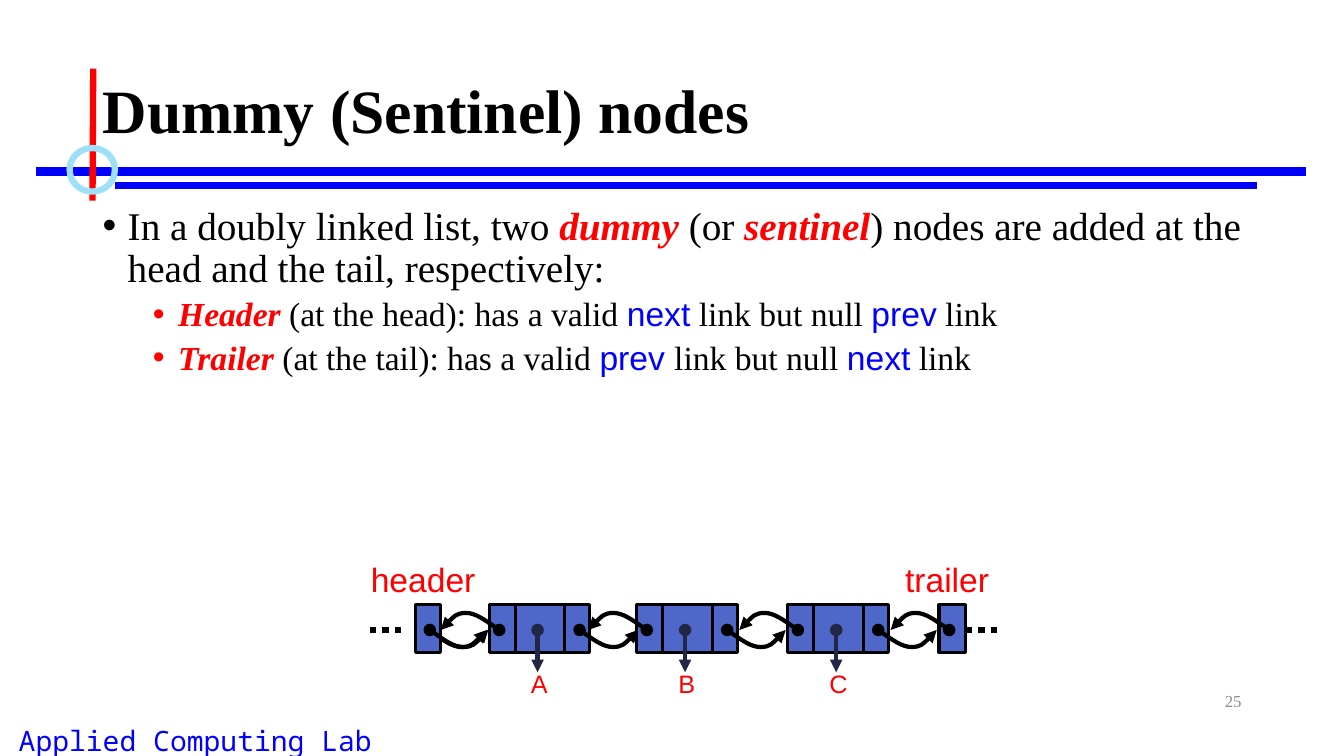
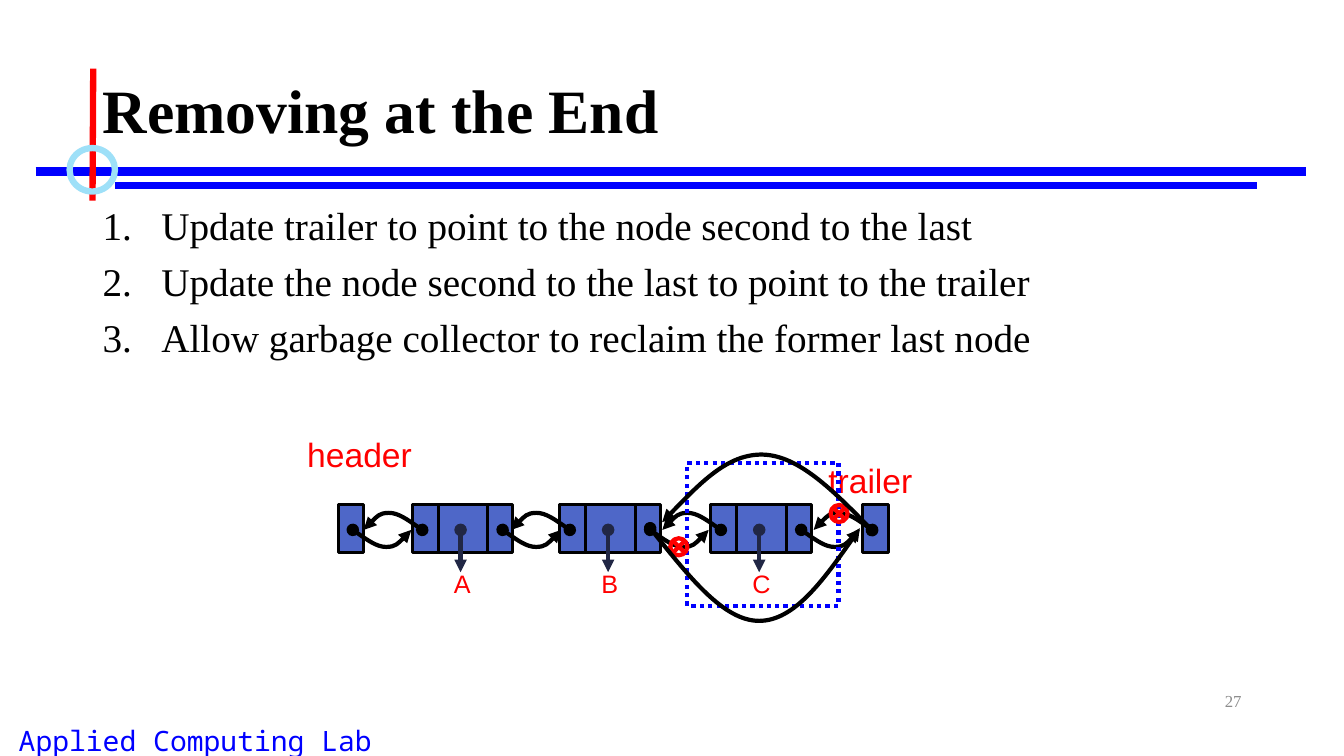
from lxml import etree
from pptx import Presentation
from pptx.dml.color import RGBColor
from pptx.enum.dml import MSO_LINE
from pptx.enum.shapes import MSO_CONNECTOR, MSO_SHAPE
from pptx.enum.text import MSO_ANCHOR, MSO_AUTO_SIZE, PP_ALIGN
from pptx.oxml.ns import qn
from pptx.util import Pt

BLACK, RED, BLUE, SKY = "000000", "FF0000", "0000FF", "9EE0F8"
NODE, NAVY, GRAY = "4E67C8", "212745", "8C8C8C"
SERIF, SANS, MONO = "Times New Roman", "Arial", "Noto Sans Mono"

# Run styles for body text: font, colour, emphasised
PLAIN, KEY, CODE = (SERIF, BLACK, False), (SERIF, RED, True), (SANS, BLUE, False)

# Chain measures, relative to the left edge of the header box and the top
NODE_LEFTS = {"A": 52.8, "B": 158.2, "C": 266.1}
TRAILER_LEFT = 374.2
BOX_HEIGHT, MIDDLE = 34.3, 18
LINK_WIDTH, LINK_HEIGHT = 41.8, 12.2
LINK = [(0, 0), (8.5, 5.9), (17.1, LINK_HEIGHT), (23.8, LINK_HEIGHT),
        (30.8, LINK_HEIGHT), (36.5, 5.9), (LINK_WIDTH, 0)]


def rgb(value):
    return RGBColor.from_string(value)


class Slides:
    def __init__(self):
        self.deck = Presentation()
        self.deck.slide_width, self.deck.slide_height = Pt(960), Pt(540)
        self.shapes = None

    # Basic elements
    def stroke(self, item, color, width, dotted=False, arrow=False):
        item.line.color.rgb = rgb(color)
        item.line.width = Pt(width)
        if dotted:
            item.line.dash_style = MSO_LINE.ROUND_DOT
        if arrow:
            outline = item.element.spPr.find(qn("a:ln"))
            etree.SubElement(outline, qn("a:headEnd"), type="oval")
            etree.SubElement(outline, qn("a:tailEnd"), type="triangle")

    def line(self, x1, y1, x2, y2, color, width, **style):
        line = self.shapes.add_connector(MSO_CONNECTOR.STRAIGHT,
                                         Pt(x1), Pt(y1), Pt(x2), Pt(y2))
        self.stroke(line, color, width, **style)
        etree.SubElement(line.element.spPr, qn("a:effectLst"))

    def shape(self, kind, left, top, width, height, color, weight, fill=None, **style):
        shape = self.shapes.add_shape(kind, Pt(left), Pt(top), Pt(width), Pt(height))
        shape.shadow.inherit = False
        if fill:
            shape.fill.solid()
            shape.fill.fore_color.rgb = rgb(fill)
        else:
            shape.fill.background()
        self.stroke(shape, color, weight, **style)

    def curve(self, points, rotation=0):
        """Draw cubic curves: every third point is a knot, the others are handles."""
        points = [(Pt(x), Pt(y)) for x, y in points]
        knots = points[::3]
        builder = self.shapes.build_freeform(*knots[0], scale=1.0)
        builder.add_line_segments(knots[1:], close=False)
        curve = builder.convert_to_shape()
        # Turn each straight segment into a cubic one
        left, top = (min(values) for values in zip(*knots))
        for index, segment in enumerate(list(curve.element.iter(qn("a:lnTo")))):
            cubic = etree.Element(qn("a:cubicBezTo"))
            for x, y in points[3 * index + 1:3 * index + 4]:
                etree.SubElement(cubic, qn("a:pt"), x=str(x - left), y=str(y - top))
            segment.getparent().replace(segment, cubic)
        curve.rotation = rotation
        curve.shadow.inherit = False
        curve.fill.background()
        self.stroke(curve, BLACK, 3, arrow=True)

    def font(self, span, size, name, color, bold=False, italic=False):
        font = span.font
        font.size, font.name, font.bold, font.italic = Pt(size), name, bold, italic
        font.color.rgb = rgb(color)

    def frame(self, left, top, width, height, wrap=True, grow=False, anchor=MSO_ANCHOR.TOP):
        box = self.shapes.add_textbox(Pt(left), Pt(top), Pt(width), Pt(height))
        frame = box.text_frame
        frame.word_wrap = wrap
        frame.auto_size = MSO_AUTO_SIZE.SHAPE_TO_FIT_TEXT if grow else MSO_AUTO_SIZE.NONE
        frame.vertical_anchor = anchor
        return frame

    def text(self, text, at, size, name, color, align=PP_ALIGN.LEFT, bold=False, **layout):
        frame = self.frame(*at, **layout)
        frame.text = text
        para = frame.paragraphs[0]
        para.alignment = align
        para.line_spacing = 0.9 if bold else 1.0
        self.font(para.runs[0], size, name, color, bold)

    def label(self, text, left, top, width, height, size):
        self.text(text, (left, top, width, height), size, SANS, RED, wrap=False, grow=True)

    # Shared page parts
    def page(self, title, number):
        self.shapes = self.deck.slides.add_slide(self.deck.slide_layouts[6]).shapes
        self.text("Applied Computing Lab", (-41.8, 513.4, 362.9, 31), 20, MONO, BLUE,
                  align=PP_ALIGN.CENTER, grow=True)
        self.line(25.4, 122.4, 932.6, 122.4, BLUE, 6)
        self.line(82, 132.5, 898, 132.5, BLUE, 4.5)
        self.line(66.6, 49, 66.1, 143.3, RED, 4.5)
        self.shape(MSO_SHAPE.OVAL, 49.7, 105.8, 32.4, 31, SKY, 4.5)
        self.text(title, (66.2, 28.8, 828, 104.4), 44, SERIF, BLACK,
                  bold=True, anchor=MSO_ANCHOR.MIDDLE)
        self.text(str(number), (678, 486, 216, 28.8), 12, SERIF, GRAY,
                  align=PP_ALIGN.RIGHT, anchor=MSO_ANCHOR.MIDDLE)

    def body(self, items, numbered=False):
        """Each item is a level and a list of (text, style) spans."""
        frame = self.frame(66.2, 143.8, 828, 342.7)
        for index, (level, spans) in enumerate(items):
            para = frame.add_paragraph() if index else frame.paragraphs[0]
            para.level = level
            para.line_spacing = 0.9
            para.space_before = Pt(5 if level else 10)
            for text, (name, color, strong) in spans:
                span = para.add_run()
                span.text = text
                self.font(span, 24 if level else 28, name, color, strong, strong)
            hanging = 42 if numbered else 18
            props = para._p.get_or_add_pPr()
            props.set("marL", str(Pt(hanging + 36 * level)))
            props.set("indent", str(-Pt(hanging)))
            if numbered:
                etree.SubElement(props, qn("a:buFont"), typeface="+mj-lt")
                etree.SubElement(props, qn("a:buAutoNum"), type="arabicPeriod")
            else:
                etree.SubElement(props, qn("a:buFont"), typeface=SANS)
                etree.SubElement(props, qn("a:buChar"), char="•")

    # Linked list drawing
    def cell(self, left, top, width):
        self.shape(MSO_SHAPE.RECTANGLE, left, top, width, BOX_HEIGHT, BLACK, 2.25, NODE)

    def next_link(self, x, y, rotation=0):
        self.curve([(x + dx, y + dy) for dx, dy in LINK], rotation)

    def prev_link(self, x, y):
        """The next link turned half round, starting at its right end."""
        self.next_link(x - LINK_WIDTH, y - LINK_HEIGHT, rotation=180)

    def node(self, name, left, top):
        self.cell(left + 17.3, top, 36.7)
        self.cell(left + 54, top, 18)
        self.line(left + 34.6, top + MIDDLE, left + 34.6, top + 48.2, NAVY, 3, arrow=True)
        self.cell(left, top, 18.7)
        self.label(name, left + 22.7, top + 41.8, 26.6, 28.8, 18)
        self.next_link(left + 64.6, top + MIDDLE)
        self.prev_link(left + 7.2, top + MIDDLE)

    def chain(self, left, top, header_at, trailer_at):
        for name, offset in NODE_LEFTS.items():
            self.node(name, left + offset, top)
        self.cell(left, top, 18)
        self.next_link(left + 10.4, top + MIDDLE)
        self.label("header", *header_at, 93.6, 36, 24)
        self.cell(left + TRAILER_LEFT, top, 18.7)
        self.prev_link(left + TRAILER_LEFT + 7.2, top + MIDDLE)
        self.label("trailer", *trailer_at, 75.6, 36, 24)


def dummy_nodes(slides):
    slides.page("Dummy (Sentinel) nodes", 25)
    slides.body([
        (0, [("In a doubly linked list, two ", PLAIN), ("dummy ", KEY), ("(or ", PLAIN),
             ("sentinel", KEY),
             (") nodes are added at the head and the tail, respectively:", PLAIN)]),
        (1, [("Header", KEY), (" (at the head): has a valid ", PLAIN), ("next", CODE),
             (" link but null ", PLAIN), ("prev", CODE), (" link", PLAIN)]),
        (1, [("Trailer", KEY), (" (at the tail): has a valid ", PLAIN), ("prev ", CODE),
             ("link but null ", PLAIN), ("next", CODE), (" link", PLAIN)]),
    ])
    slides.next_link(306, 450)
    for dots_left in (264.2, 689.8):
        slides.line(dots_left, 450, dots_left + 24, 450, BLACK, 4.5, dotted=True)
    slides.chain(296.6, 432, header_at=(257.8, 396), trailer_at=(639.4, 396))


def removing_at_end(slides):
    slides.page("Removing at the End", 27)
    steps = ["Update trailer to point to the node second to the last",
             "Update the node second to the last to point to the trailer",
             "Allow garbage collector to reclaim the former last node"]
    slides.body([(0, [(step, PLAIN)]) for step in steps], numbered=True)
    slides.chain(241.6, 360.5, header_at=(212.4, 306.7), trailer_at=(584.6, 324.7))
    # Removed node, cut links and the two new links around it
    slides.shape(MSO_SHAPE.RECTANGLE, 491, 330.5, 108, 102.2, BLUE, 3, dotted=True)
    for left, top in ((593.3, 360.7), (478.8, 384.5)):
        slides.shape(MSO_SHAPE.FLOWCHART_SUMMING_JUNCTION, left, top, 12.2, 12.2, RED, 3)
    slides.curve([(622.8, 378.7), (596.9, 352.1), (570.2, 325.4), (545, 324.7),
                  (519.8, 324), (496.8, 348.5), (473, 373)])
    slides.curve([(464.4, 377.3), (491, 410.4), (517, 443.5), (542.2, 443.5),
                  (567.4, 443.5), (591.1, 410.4), (614.2, 377.3)])


def main():
    slides = Slides()
    dummy_nodes(slides)
    removing_at_end(slides)
    slides.deck.save("out.pptx")


if __name__ == "__main__":
    main()
